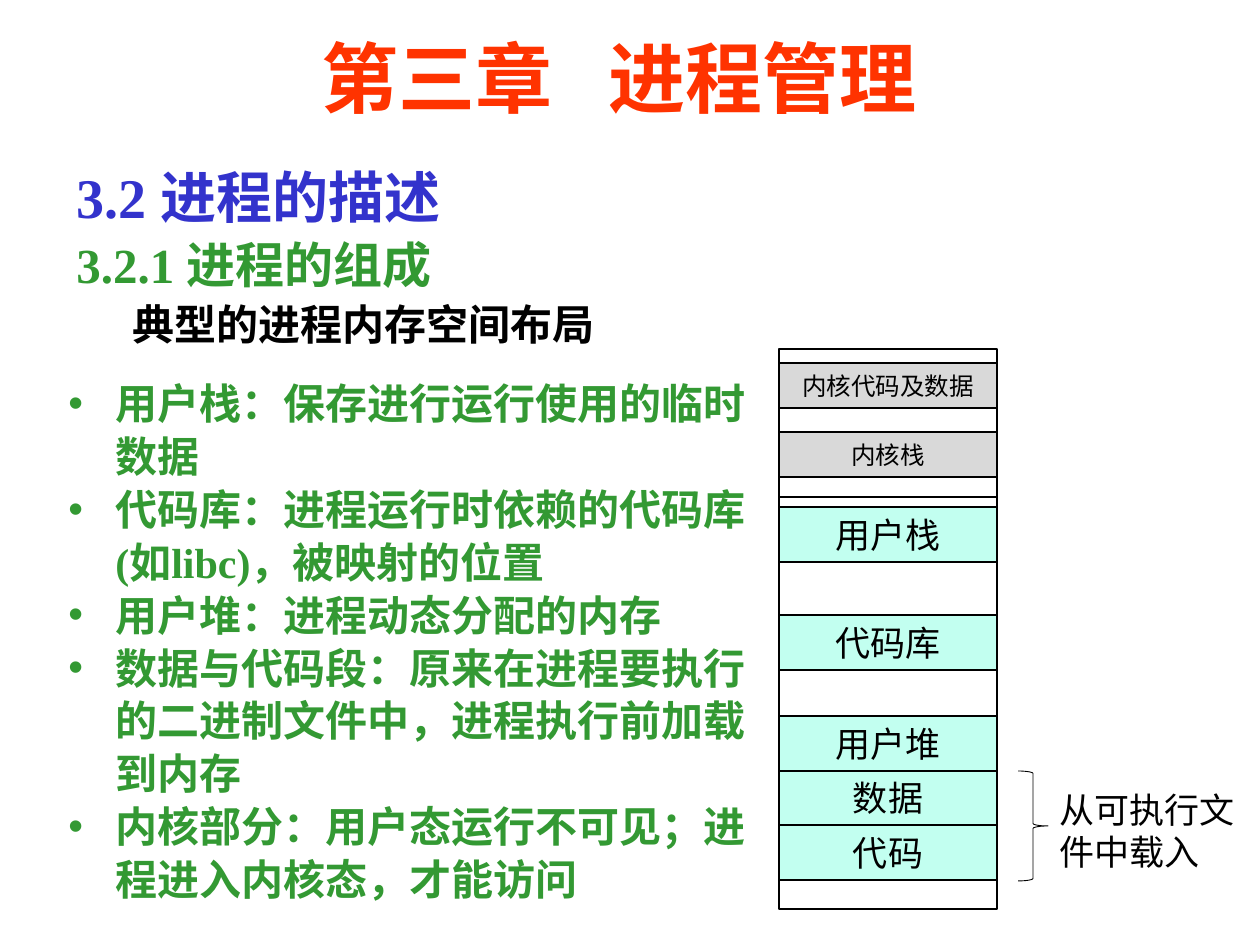
import pptx
import pptx.util
import pptx.dml.color
import pptx.enum.shapes
import pptx.enum.text
import pptx.oxml.ns
import lxml.etree

EMU_PER_PX = 914400 / 126
FONT = "Times New Roman"
COLORS = {
    "title": "FF3300",
    "section": "3333CC",
    "green": "339933",
    "black": "000000",
    "white": "FFFFFF",
    "user": "C2FFF0",
    "kernel": "D9D9D9",
}
SHAPE = pptx.enum.shapes.MSO_SHAPE
ALIGN = pptx.enum.text.PP_ALIGN
ANCHOR = pptx.enum.text.MSO_ANCHOR

SPACE_LEFT, SPACE_WIDTH = 779, 218
USER_HEIGHT, KERNEL_HEIGHT = 55, 45
USER_SEGMENTS = [("代码", 825), ("数据", 770), ("用户堆", 716), ("代码库", 615), ("用户栈", 507)]
KERNEL_SEGMENTS = [("内核栈", 432), ("内核代码及数据", 363)]
SEGMENT_NOTES = [
    "用户栈：保存进行运行使用的临时数据",
    "代码库：进程运行时依赖的代码库(如libc)，被映射的位置",
    "用户堆：进程动态分配的内存",
    "数据与代码段：原来在进程要执行的二进制文件中，进程执行前加载到内存",
    "内核部分：用户态运行不可见；进程进入内核态，才能访问",
]


def px(length):
    return round(length * EMU_PER_PX)


def rgb(name):
    return pptx.dml.color.RGBColor.from_string(COLORS[name])


def add_child(parent, tag, **attributes):
    return lxml.etree.SubElement(parent, pptx.oxml.ns.qn(tag), **attributes)


def write(frame, text, size, color="black", bold=False, align=ALIGN.LEFT, left=0,
          hanging=0, before=0, line_spacing=None, bullet=None, new=False, gap=0):
    """Write one paragraph; gap widens each space in the text, in points."""
    paragraph = frame.add_paragraph() if new else frame.paragraphs[0]
    properties = paragraph._p.get_or_add_pPr()
    properties.set("marL", str(px(left)))
    properties.set("indent", str(-px(hanging)))
    if bullet:
        add_child(properties, "a:buFont", typeface="Arial")
        add_child(properties, "a:buChar", char=bullet)
    paragraph.alignment = align
    paragraph.space_before = pptx.util.Pt(before)
    if line_spacing:
        paragraph.line_spacing = line_spacing
    for piece in text.replace(" ", "\n \n").split("\n") if gap else [text]:
        run = paragraph.add_run()
        run.text = piece
        run.font.name = FONT
        run.font.size = pptx.util.Pt(size)
        run.font.bold = bold
        run.font.color.rgb = rgb(color)
        if piece == " ":
            run._r.get_or_add_rPr().set("spc", str(gap * 100))


def add_text_box(slide, left, top, width, height, anchor=ANCHOR.TOP):
    frame = slide.shapes.add_textbox(px(left), px(top), px(width), px(height)).text_frame
    frame.word_wrap = True
    frame.vertical_anchor = anchor
    return frame


def add_block(slide, top, height, fill, text=None, size=20):
    block = slide.shapes.add_shape(
        SHAPE.RECTANGLE, px(SPACE_LEFT), px(top), px(SPACE_WIDTH), px(height))
    block.shadow.inherit = False
    block.fill.solid()
    block.fill.fore_color.rgb = rgb(fill)
    block.line.color.rgb = rgb("black")
    block.line.width = pptx.util.Pt(0.75)
    if text:
        block.text_frame.vertical_anchor = ANCHOR.MIDDLE
        write(block.text_frame, text, size, align=ALIGN.CENTER)


def add_divider(slide, top, weight):
    divider = slide.shapes.add_connector(
        pptx.enum.shapes.MSO_CONNECTOR.STRAIGHT,
        px(SPACE_LEFT + 1), px(top), px(SPACE_LEFT + 1 + SPACE_WIDTH), px(top))
    divider.line.color.rgb = rgb("black")
    divider.line.width = pptx.util.Pt(weight)
    add_child(divider._element.spPr, "a:effectLst")


def add_brace(slide, left, top, width, height):
    brace = slide.shapes.add_shape(
        SHAPE.RIGHT_BRACE, px(left), px(top), px(width), px(height))
    brace.shadow.inherit = False
    brace.fill.background()
    brace.line.color.rgb = rgb("black")
    brace.line.width = pptx.util.Pt(0.5)


def add_headings(slide):
    headings = add_text_box(slide, 64, 156, 1166, 200)
    write(headings, "3.2 进程的描述", 32, "section", bold=True)
    write(headings, "3.2.1 进程的组成", 28, "green", bold=True, before=3, new=True)
    write(headings, "典型的进程内存空间布局", 24, bold=True, left=56, before=3, new=True)
    title = add_text_box(slide, 147, 9, 945, 136, ANCHOR.MIDDLE)
    write(title, "第三章 进程管理", 44, "title", bold=True, align=ALIGN.CENTER, gap=22)


def add_memory_layout(slide):
    add_block(slide, 349, 560, "white")
    for name, top in USER_SEGMENTS:
        add_block(slide, top, USER_HEIGHT, "user", name)
    add_divider(slide, 507, 0.75)
    add_divider(slide, 497, 1.5)
    for name, top in KERNEL_SEGMENTS:
        add_block(slide, top, KERNEL_HEIGHT, "kernel", name, 14)
    add_brace(slide, 1018, 771, 30, 110)
    write(add_text_box(slide, 1047, 782, 218, 97), "从可执行文件中载入", 20)


def add_segment_notes(slide):
    notes = add_text_box(slide, 56, 369, 708, 543)
    for index, note in enumerate(SEGMENT_NOTES):
        write(notes, note, 24, "green", bold=True, left=47, hanging=47,
              line_spacing=1.05, bullet="•", new=index > 0)


def main():
    deck = pptx.Presentation()
    deck.slide_width, deck.slide_height = px(1260), px(945)
    slide = deck.slides.add_slide(deck.slide_layouts[6])
    add_headings(slide)
    add_memory_layout(slide)
    add_segment_notes(slide)
    deck.save("out.pptx")


if __name__ == "__main__":
    main()
